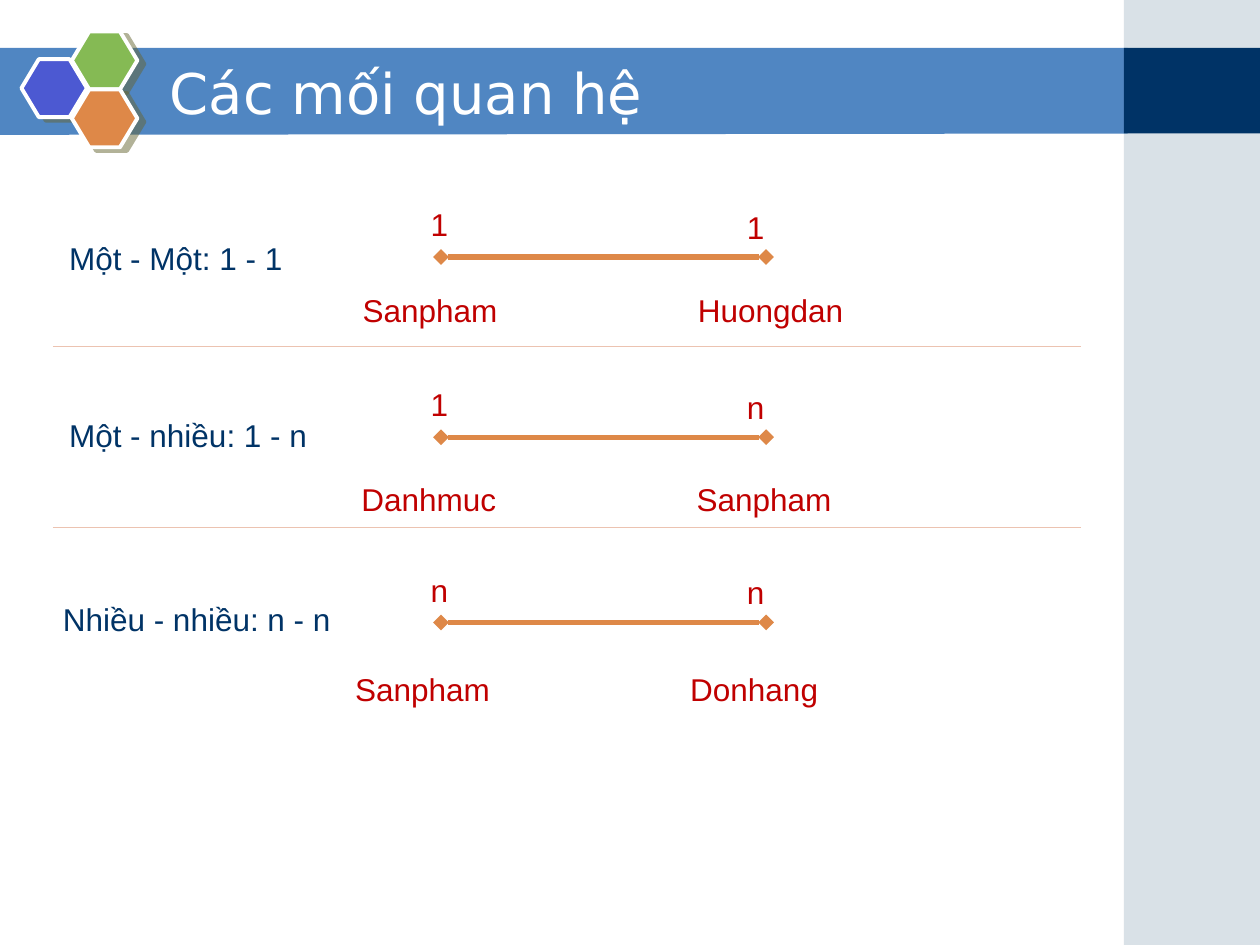
from dataclasses import dataclass

from lxml import etree
from pptx import Presentation
from pptx import util as u
from pptx.dml import color
from pptx.enum import shapes, text
from pptx.oxml import ns

COLUMNS, ROWS = 100, 75
COLOURS = {
    "band": "5086C2", "navy": "003366", "side": "A0B5C4", "blue": "4C59D2",
    "green": "85BA54", "orange": "DE8848", "red": "C00000", "white": "FFFFFF",
    "divider": "ECC3B1", "shadow": "666633",
}

presentation = Presentation()
presentation.slide_width, presentation.slide_height = u.Inches(10), u.Inches(7.5)
slide = presentation.slides.add_slide(presentation.slide_layouts[6])


@dataclass
class Relation:
    label: str
    label_left: float
    label_top: float
    label_width: float
    line_row: float
    counts: tuple[str, str]
    tables: tuple[str, str]
    table_left: float
    table_top: float
    table_widths: tuple[float, float]


@dataclass
class Hexagon:
    colour: str
    left: float
    top: float


RELATIONS = [
    Relation("Một - Một: 1 - 1", 4.5, 18.5, 19.1, 20.4, ("1", "1"),
             ("Sanpham", "Huongdan"), 27.8, 22.6, (12.8, 13.7)),
    Relation("Một - nhiều: 1 - n", 4.5, 32.5, 21.1, 34.7, ("1", "n"),
             ("Danhmuc", "Sanpham"), 27.7, 37.6, (12.8, 12.8)),
    Relation("Nhiều - nhiều: n - n", 4, 47.1, 23.5, 49.4, ("n", "n"),
             ("Sanpham", "Donhang"), 27.2, 52.7, (12.8, 12.3)),
]
HEXAGONS = [Hexagon("blue", 1.7, 4.7), Hexagon("green", 5.7, 2.5), Hexagon("orange", 5.7, 7.1)]
DIVIDER_ROWS = (27.5, 41.9)
TABLE_STEP = 26.6


def across(columns: float) -> int:
    return round(presentation.slide_width * columns / COLUMNS)


def down(rows: float) -> int:
    return round(presentation.slide_height * rows / ROWS)


def rgb(name: str) -> color.RGBColor:
    return color.RGBColor.from_string(COLOURS[name])


def add_child(parent, tag: str, **values):
    return etree.SubElement(parent, ns.qn(tag), values)


def paint(shape, colour: str, alpha: int = 100) -> None:
    shape.shadow.inherit = False
    shape.fill.solid()
    shape.fill.fore_color.rgb = rgb(colour)
    shape.line.fill.background()
    if alpha < 100:
        fill = shape.fill._xPr.find(ns.qn("a:solidFill"))
        add_child(fill[0], "a:alpha", val=str(alpha * 1000))


def add_block(kind, left: float, top: float, width: float, height: float,
              colour: str, alpha: int = 100):
    shape = slide.shapes.add_shape(kind, across(left), down(top), across(width), down(height))
    paint(shape, colour, alpha)
    return shape


def add_band() -> None:
    builder = slide.shapes.build_freeform(across(-0.1), down(3.8))
    corners = [(89.5, 3.8), (89.5, 10.6), (-0.1, 10.7)]
    builder.add_line_segments([(across(x), down(y)) for x, y in corners])
    paint(builder.convert_to_shape(), "band")


def add_hexagon(hexagon: Hexagon) -> None:
    shape = add_block(shapes.MSO_SHAPE.HEXAGON, hexagon.left, hexagon.top, 5.2, 4.6, hexagon.colour)
    shape.adjustments[0] = 0.3
    shape.line.color.rgb = rgb("white")
    shape.line.width = u.Pt(2.25)
    effects = shape._element.spPr.find(ns.qn("a:effectLst"))
    shadow = add_child(effects, "a:outerShdw", dist=str(u.Pt(4.5)), dir=str(27 * 60000),
                       algn="ctr", rotWithShape="0")
    tint = add_child(shadow, "a:srgbClr", val=COLOURS["shadow"])
    add_child(tint, "a:alpha", val="50000")


def add_line(left: float, right: float, row: float, colour: str, width: float,
             diamonds: bool = False) -> None:
    connector = slide.shapes.add_connector(
        shapes.MSO_CONNECTOR.STRAIGHT, across(left), down(row), across(right), down(row))
    connector.line.color.rgb = rgb(colour)
    connector.line.width = u.Pt(width)
    if diamonds:
        for end in ("a:headEnd", "a:tailEnd"):
            add_child(connector.line._ln, end, type="diamond")
    add_child(connector._element.spPr, "a:effectLst")


def add_text(words: str, left: float, top: float, width: float, colour: str,
             height: float = 4, size: float = 18, font: str = "Arial", title: bool = False) -> None:
    box = slide.shapes.add_textbox(across(left), down(top), across(width), down(height))
    frame = box.text_frame
    frame_format = {
        "word_wrap": title,
        "auto_size": text.MSO_AUTO_SIZE.NONE if title else text.MSO_AUTO_SIZE.SHAPE_TO_FIT_TEXT,
        "vertical_anchor": text.MSO_ANCHOR.MIDDLE if title else text.MSO_ANCHOR.TOP,
    }
    for name, value in frame_format.items():
        setattr(frame, name, value)
    paragraph = frame.paragraphs[0]
    run = paragraph.add_run()
    run.text = words
    for name, value in {"name": font, "size": u.Pt(size)}.items():
        setattr(run.font, name, value)
    run.font.color.rgb = rgb(colour)


def add_relation(relation: Relation) -> None:
    add_text(relation.label, relation.label_left, relation.label_top, relation.label_width, "navy")
    add_line(35, 60.8, relation.line_row, "orange", 3, diamonds=True)
    for count, left, rise in zip(relation.counts, (33.2, 58.3), (4.6, 4.4)):
        add_text(count, left, relation.line_row - rise, 3.4, "red")
    for index, (table, width) in enumerate(zip(relation.tables, relation.table_widths)):
        add_text(table, relation.table_left + index * TABLE_STEP, relation.table_top, width, "red")


def main() -> None:
    add_band()
    add_block(shapes.MSO_SHAPE.RECTANGLE, 89.2, 0, 10.8, ROWS, "side", 40)
    add_block(shapes.MSO_SHAPE.RECTANGLE, 89.2, 3.8, 10.8, 6.8, "navy")
    for hexagon in HEXAGONS:
        add_hexagon(hexagon)
    add_text("Các mối quan hệ", 12.5, 4.2, 73.3, "white", 6.2, 32, "DejaVu Sans", title=True)
    for relation in RELATIONS:
        add_relation(relation)
    for row in DIVIDER_ROWS:
        add_line(4.2, 85.8, row, "divider", 0.5)
    presentation.save("out.pptx")


if __name__ == "__main__":
    main()
